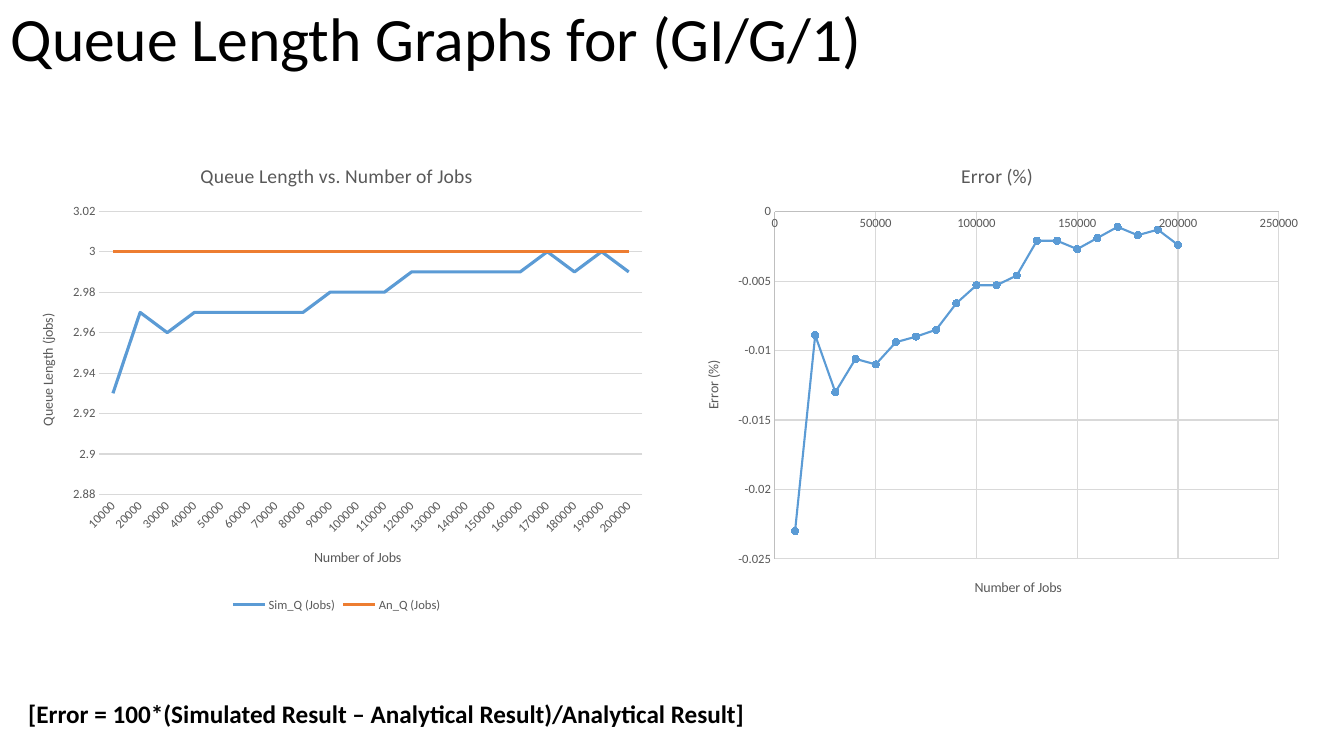
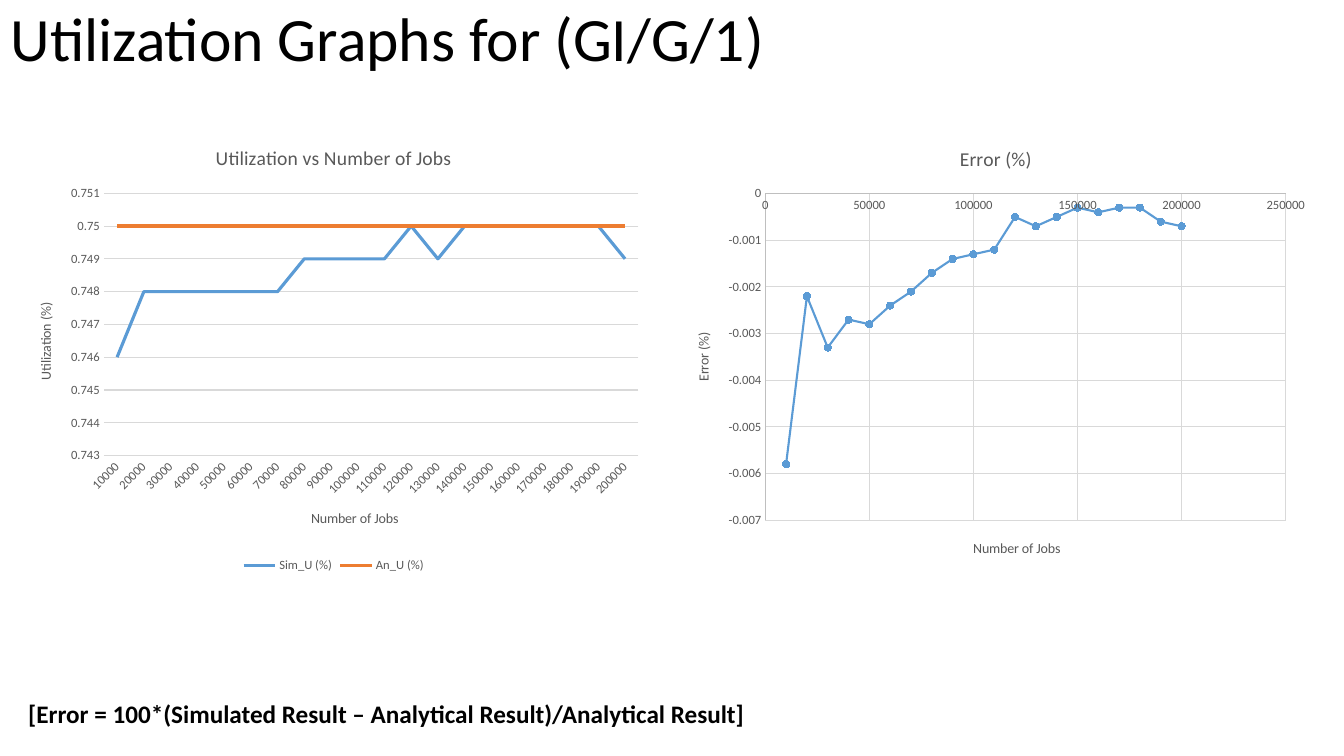
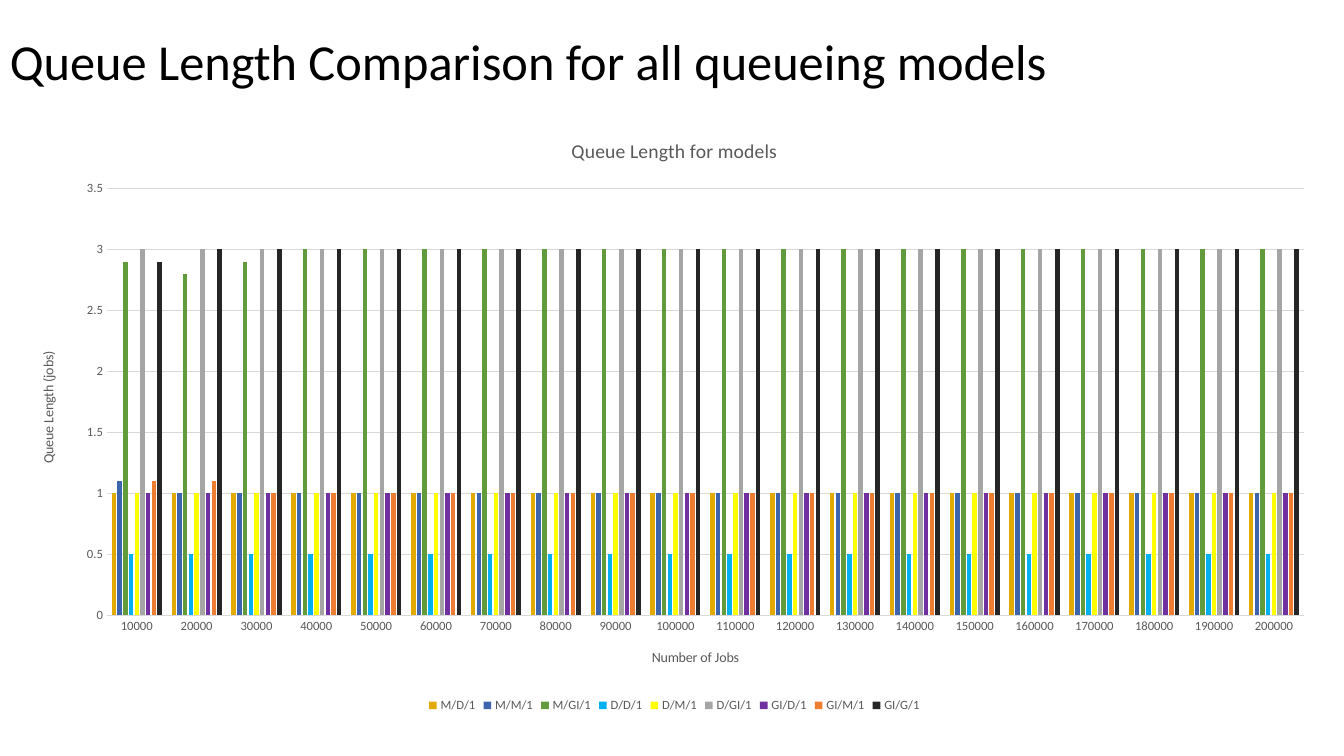
from dataclasses import dataclass
from typing import Any, Optional

import pptx
import pptx.chart.data
import pptx.dml.color
import pptx.enum.chart
import pptx.enum.text
import pptx.util

Cm, Pt = pptx.util.Cm, pptx.util.Pt
KIND = pptx.enum.chart.XL_CHART_TYPE

# Shared look
FONT = "Calibri"
BLACK, GREY, GRID, AXIS = "000000", "595959", "D9D9D9", "BFBFBF"
BLUE, ORANGE = "5B9BD5", "ED7D31"
ERROR_NOTE = "[Error = 100*(Simulated Result – Analytical Result)/Analytical Result]"
JOBS_LABEL = "Number of Jobs"
JOBS = range(10000, 200001, 10000)


@dataclass
class Box:
    left: float
    top: float
    width: float
    height: float

    def lengths(self) -> tuple:
        return Cm(self.left), Cm(self.top), Cm(self.width), Cm(self.height)


@dataclass
class Scale:
    low: float
    high: float
    step: float


@dataclass
class Series:
    name: str
    values: list[float]
    color: str


@dataclass
class Measure:
    """One simulated quantity, set against its analytical value."""
    heading: str
    chart_title: str
    label: str
    names: tuple[str, str]
    analytical: float
    digits: int
    errors: list[float]
    scale: Scale
    error_scale: Scale
    trend_box: Box
    error_box: Box

    def simulated(self) -> list[float]:
        return [round(self.analytical * (1 + e), self.digits) for e in self.errors]


def rgb(color: str) -> pptx.dml.color.RGBColor:
    return pptx.dml.color.RGBColor.from_string(color)


def apply(target: Any, values: dict[str, Any]) -> None:
    for name, value in values.items():
        setattr(target, name, value)


def style_font(font: Any, size: float, color: str, bold: bool = False) -> None:
    apply(font, {"name": FONT, "size": Pt(size), "bold": bold})
    font.color.rgb = rgb(color)


def style_line(line: Any, color: str, width: float = 0.75) -> None:
    line.color.rgb = rgb(color)
    line.width = Pt(width)


# Text
def add_text(slide: Any, text: str, box: Box, size: float, bold: bool = False,
             spacing: float = 1.0) -> None:
    frame = slide.shapes.add_textbox(*box.lengths()).text_frame
    apply(frame, {"word_wrap": True,
                  "vertical_anchor": pptx.enum.text.MSO_ANCHOR.MIDDLE})
    paragraph = frame.paragraphs[0]
    paragraph.line_spacing = spacing
    run = paragraph.add_run()
    run.text = text
    style_font(run.font, size, BLACK, bold)


def add_heading(slide: Any, text: str, box: Box, size: float) -> None:
    add_text(slide, text, box, size, spacing=0.9)


# Charts
def label_frame(frame: Any, text: str, size: float) -> None:
    frame.text = text
    style_font(frame.paragraphs[0].runs[0].font, size, GREY)


def style_axis(axis: Any, title: str, line: Optional[str], grid: bool,
               scale: Optional[Scale] = None) -> None:
    no_tick = pptx.enum.chart.XL_TICK_MARK.NONE
    apply(axis, {"major_tick_mark": no_tick, "minor_tick_mark": no_tick,
                 "has_major_gridlines": grid})
    label_frame(axis.axis_title.text_frame, title, 10)
    style_font(axis.tick_labels.font, 9, GREY)
    if line:
        style_line(axis.format.line, line)
    else:
        axis.format.line.fill.background()
    if grid:
        style_line(axis.major_gridlines.format.line, GRID)
    if scale:
        apply(axis, {"minimum_scale": scale.low, "maximum_scale": scale.high,
                     "major_unit": scale.step})


def add_chart(slide: Any, kind: Any, box: Box, data: Any, title: str,
              legend: bool) -> Any:
    chart = slide.shapes.add_chart(kind, *box.lengths(), data).chart
    style_font(chart.font, 10, BLACK)
    label_frame(chart.chart_title.text_frame, title, 14)
    chart.chart_title.include_in_layout = False
    chart.has_legend = legend
    if legend:
        apply(chart.legend, {"position": pptx.enum.chart.XL_LEGEND_POSITION.BOTTOM,
                             "include_in_layout": False})
        style_font(chart.legend.font, 9, GREY)
    return chart


def add_category_chart(slide: Any, kind: Any, box: Box, title: str, label: str,
                       series: list[Series], scale: Scale) -> Any:
    data = pptx.chart.data.CategoryChartData()
    data.categories = [str(jobs) for jobs in JOBS]
    for item in series:
        data.add_series(item.name, item.values)
    chart = add_chart(slide, kind, box, data, title, legend=True)
    style_axis(chart.category_axis, JOBS_LABEL, GRID, False)
    style_axis(chart.value_axis, label, None, True, scale)
    return chart


def add_trend_chart(slide: Any, measure: Measure) -> None:
    simulated, analytical = measure.names
    series = [Series(simulated, measure.simulated(), BLUE),
              Series(analytical, [measure.analytical] * len(JOBS), ORANGE)]
    chart = add_category_chart(slide, KIND.LINE, measure.trend_box,
                               measure.chart_title, measure.label, series,
                               measure.scale)
    for plotted, item in zip(chart.plots[0].series, series):
        plotted.smooth = False
        plotted.marker.style = pptx.enum.chart.XL_MARKER_STYLE.NONE
        style_line(plotted.format.line, item.color, 2.25)


def add_error_chart(slide: Any, measure: Measure) -> None:
    title = "Error (%)"
    data = pptx.chart.data.XyChartData()
    points = data.add_series(title)
    for jobs, error in zip(JOBS, measure.errors):
        points.add_data_point(jobs, error)
    chart = add_chart(slide, KIND.XY_SCATTER_LINES, measure.error_box, data,
                      title, legend=False)
    style_axis(chart.category_axis, JOBS_LABEL, AXIS, True, Scale(0, 250000, 50000))
    style_axis(chart.value_axis, title, AXIS, True, measure.error_scale)
    chart.plots[0].vary_by_categories = False
    errors = chart.plots[0].series[0]
    errors.smooth = False
    style_line(errors.format.line, BLUE, 1.5)
    apply(errors.marker, {"style": pptx.enum.chart.XL_MARKER_STYLE.CIRCLE, "size": 5})
    errors.marker.format.fill.solid()
    errors.marker.format.fill.fore_color.rgb = rgb(BLUE)
    style_line(errors.marker.format.line, BLUE)


# Slides
def add_measure_slide(slide: Any, measure: Measure) -> None:
    add_heading(slide, measure.heading, Box(0.02, 0, 29.21, 2.11), 44)
    add_trend_chart(slide, measure)
    add_error_chart(slide, measure)
    add_text(slide, ERROR_NOTE, Box(0.46, 17.48, 23.9, 1.02), 18, bold=True)


def add_comparison_slide(slide: Any, models: list[Series]) -> None:
    add_heading(slide, "Queue Length Comparison for all queueing models",
                Box(0, 0.69, 29.21, 1.85), 36)
    chart = add_category_chart(slide, KIND.COLUMN_CLUSTERED,
                               Box(0.47, 2.92, 33.05, 15.14),
                               "Queue Length for models", "Queue Length (jobs)",
                               models, Scale(0, 3.5, 0.5))
    columns = chart.plots[0]
    apply(columns, {"gap_width": 219, "overlap": -27, "vary_by_categories": False})
    for plotted, model in zip(columns.series, models):
        plotted.invert_if_negative = False
        plotted.format.fill.solid()
        plotted.format.fill.fore_color.rgb = rgb(model.color)


# Content
QUEUE = Measure(
    "Queue Length Graphs for (GI/G/1)", "Queue Length vs. Number of Jobs",
    "Queue Length (jobs)", ("Sim_Q (Jobs)", "An_Q (Jobs)"), 3, 2,
    [-0.023, -0.0089, -0.013, -0.0106, -0.011, -0.0094, -0.009, -0.0085, -0.0066,
     -0.0053, -0.0053, -0.0046, -0.0021, -0.0021, -0.0027, -0.0019, -0.0011,
     -0.0017, -0.0013, -0.0024],
    Scale(2.88, 3.02, 0.02), Scale(-0.025, 0, 0.005),
    Box(0.46, 3.62, 16.05, 11.91), Box(17.23, 3.63, 15.8, 11.91))

UTILIZATION = Measure(
    "Utilization Graphs for (GI/G/1)", "Utilization vs Number of Jobs",
    "Utilization (%)", ("Sim_U (%)", "An_U (%)"), 0.75, 3,
    [-0.0058, -0.0022, -0.0033, -0.0027, -0.0028, -0.0024, -0.0021, -0.0017,
     -0.0014, -0.0013, -0.0012, -0.0005, -0.0007, -0.0005, -0.0003, -0.0004,
     -0.0003, -0.0003, -0.0006, -0.0007],
    Scale(0.743, 0.751, 0.001), Scale(-0.007, 0, 0.001),
    Box(0.41, 3.19, 16, 11.35), Box(16.98, 3.2, 16.23, 11.35))

MODELS = [
    Series("M/D/1", [1] * 20, "E2AA00"),
    Series("M/M/1", [1.1] + [1] * 19, "3C65AE"),
    Series("M/GI/1", [2.9, 2.8, 2.9] + [3] * 17, "629B3B"),
    Series("D/D/1", [0.5] * 20, "00B0F0"),
    Series("D/M/1", [1] * 20, "FFFF00"),
    Series("D/GI/1", [3] * 20, "A5A5A5"),
    Series("GI/D/1", [1] * 20, "7030A0"),
    Series("GI/M/1", [1.1] * 2 + [1] * 18, ORANGE),
    Series("GI/G/1", [2.9] + [3] * 19, "262626"),
]


def main() -> None:
    deck = pptx.Presentation()
    apply(deck, {"slide_width": Cm(33.87), "slide_height": Cm(19.05)})
    blank = deck.slide_layouts[6]
    for measure in (QUEUE, UTILIZATION):
        add_measure_slide(deck.slides.add_slide(blank), measure)
    add_comparison_slide(deck.slides.add_slide(blank), MODELS)
    deck.save("out.pptx")


if __name__ == "__main__":
    main()
